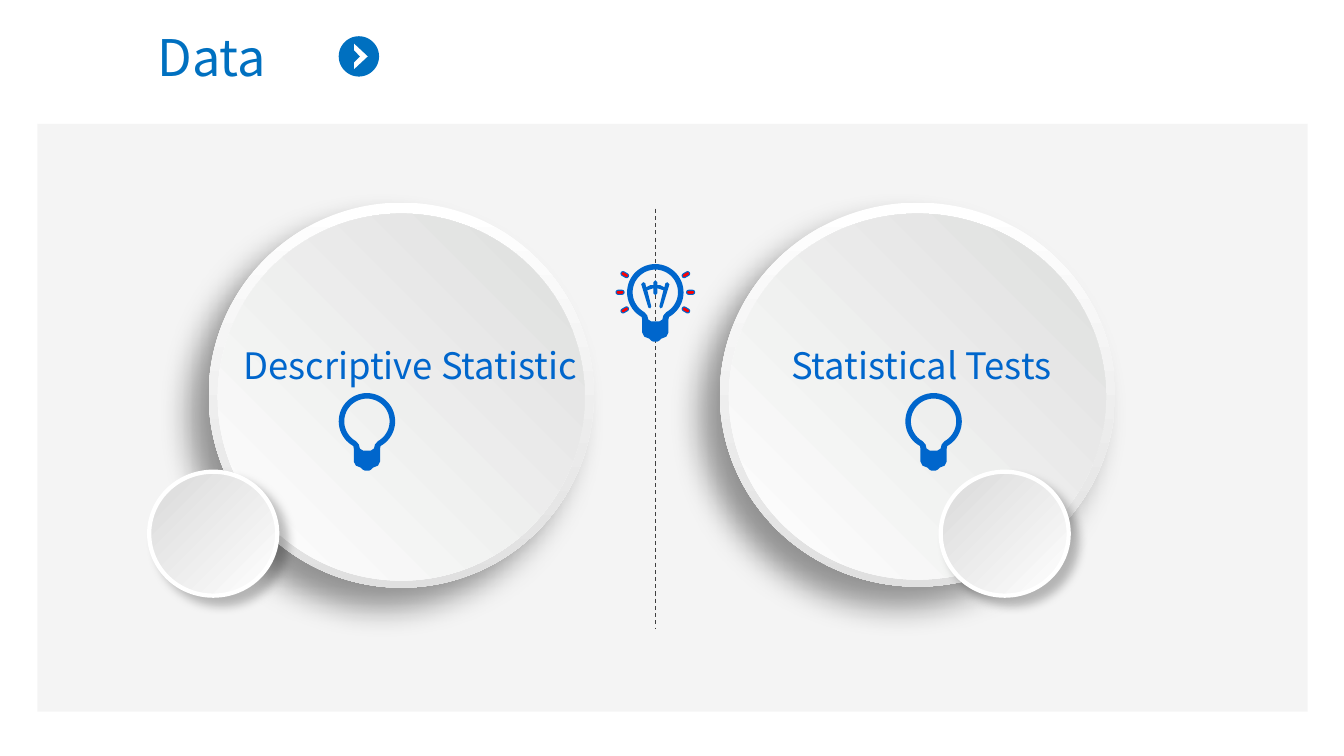
from math import cos, radians, sin

from lxml import etree
from pptx import Presentation
from pptx import util as u
from pptx.dml.color import RGBColor
from pptx.enum import dml, shapes, text
from pptx.oxml.ns import qn

PX = 9144
FONT = "Noto Sans CJK SC"
INK = {
    "blue": "0066CC", "title": "0070C0", "panel": "F2F2F2", "white": "FFFFFF",
    "rim": "E0E0E0", "face": "DDDEDD", "dot": "D9D9D9", "ray": "FF0000",
    "rule": "404040", "shade": "000000",
}
BULB = (
    (28, 61, [(41, 55), (41, 68), (39, 72), (34, 74), (32, 76), (30, 77)]),
    (22.5, 61, [(36, 51), (35, 55), (32, 57)]),
)
WIRE = [(0, -12), (2, -10), (2, -7), (5, -7), (9, -5), (10, -9), (12, -10),
        (14, -8), (7, 15), (5, 16), (4, 14), (8, -2), (5, -3), (2, -4),
        (2, 1), (0, 3)]
HOOK = [(15, 7), (29, 20), (15, 33), (15, 26), (21, 20), (15, 14)]


def rgb(name):
    return RGBColor.from_string(INK[name])


def px(*nums):
    return [u.Emu(round(n * PX)) for n in nums]


def put(item, **vals):
    for key, val in vals.items():
        setattr(item, key, val)


def paint(shape, fill, line=None, width=0):
    shape.shadow.inherit = False
    if isinstance(fill, tuple):
        first, last, angle = fill
        shape.fill.gradient()
        shape.fill.gradient_angle = angle
        for stop, name in zip(shape.fill.gradient_stops, (first, last)):
            stop.color.rgb = rgb(name)
    else:
        shape.fill.solid()
        shape.fill.fore_color.rgb = rgb(fill)
    if line:
        shape.line.color.rgb = rgb(line)
        shape.line.width = u.Pt(width)
    else:
        shape.line.fill.background()


def fade(node, alpha):
    etree.SubElement(node, qn("a:alpha")).set("val", str(alpha * 1000))


def shade(shape, alpha, blur, dist, angle):
    effect = shape._element.spPr.find(qn("a:effectLst"))
    outer = etree.SubElement(effect, qn("a:outerShdw"))
    vals = {"blurRad": u.Pt(blur), "dist": u.Pt(dist), "dir": angle * 60000,
            "algn": "ctr", "rotWithShape": 0}
    for key, val in vals.items():
        outer.set(key, str(int(val)))if key != "algn" else outer.set(key, val)
    color = etree.SubElement(outer, qn("a:srgbClr"))
    color.set("val", INK["shade"])
    fade(color, alpha)


def oval(group, box, *style):
    shape = group.add_shape(shapes.MSO_SHAPE.OVAL, *px(*box))
    paint(shape, *style)
    return shape


def arc(x, y, r, start, end, step=6):
    count = max(2, round((end - start) / step))
    turns = [radians(start + (end - start) * i / count) for i in range(count + 1)]
    return [(x + r * cos(t), y + r * sin(t)) for t in turns]


def flip(points, axis):
    return points + [(2 * axis - x, y) for x, y in reversed(points)]


def trace(group, x, y, loops, *style):
    loops = [[px(x + a, y + b) for a, b in loop] for loop in loops]
    build = group.build_freeform(*loops[0][0], scale=1.0)
    build.add_line_segments(loops[0][1:], close=True)
    for loop in loops[1:]:
        build.move_to(*loop[0])
        build.add_line_segments(loop[1:], close=True)
    paint(build.convert_to_shape(), *style)


def label(group, box, words, size, color):
    frame = group.add_textbox(*px(*box)).text_frame
    put(frame, word_wrap=True, auto_size=text.MSO_AUTO_SIZE.SHAPE_TO_FIT_TEXT)
    para = frame.paragraphs[0]
    para.alignment = text.PP_ALIGN.CENTER
    run = para.add_run()
    run.text = words
    put(run.font, name=FONT, size=u.Pt(size))
    run.font.color.rgb = rgb(color)


def panel(group, box):
    shape = group.add_shape(shapes.MSO_SHAPE.RECTANGLE, *px(*box))
    paint(shape, "panel")
    fade(shape._element.spPr.find(".//" + qn("a:srgbClr")), 78)


def bulb(group, x, y):
    loops = [arc(28, 28, r, 180 - a, 360 + a) + flip(tail, 28)
             for r, a, tail in BULB]
    trace(group, x, y, loops, "blue")


def ray(angle):
    turn = radians(angle)
    ends = [(d * cos(turn), d * sin(turn)) for d in (37, 33)]
    return (arc(*ends[0], 2, angle - 90, angle + 90, 30)
            + arc(*ends[1], 2, angle + 90, angle + 270, 30))


def lamp(root, x, top, end):
    group = root.add_group_shape().shapes
    rule = group.add_connector(shapes.MSO_CONNECTOR.STRAIGHT, *px(x, top, x, end))
    put(rule.line, width=u.Pt(0.75), dash_style=dml.MSO_LINE.DASH)
    rule.line.color.rgb = rgb("rule")
    etree.SubElement(rule._element.spPr, qn("a:effectLst"))
    y = top + 83
    bulb(group, x - 28, y - 28)
    rays = [ray(side + tilt) for side in (0, 180) for tilt in (-30, 0, 30)]
    trace(group, x, y, rays, "ray", "blue", 0.75)
    trace(group, x, y, [flip(WIRE, 0)], "blue")


def disc(root, box, words):
    x, y, w, h = box
    group = root.add_group_shape().shapes
    rim = oval(group, box, ("white", "rim", 270))
    shade(rim, 40, 22, 20, 135)
    oval(group, (x + 9, y + 11, w - 18, h - 18), ("white", "face", 45))
    label(root, (x - 3, y + 135, 406, 54), words, 26, "blue")


def dot(root, x, y):
    shape = oval(root, (x, y, 127, 123), ("dot", "white", 315), "white", 3)
    shade(shape, 25, 7, 8, 45)


def head(root, x, y):
    trace(root, x + 252, y + 15, [arc(20, 20, 20, 0, 354), HOOK], "title")
    label(root, (x, y, 252, 71), "Data", 36, "title")


def main():
    deck = Presentation()
    deck.slide_width, deck.slide_height = px(1333, 750)
    root = deck.slides.add_slide(deck.slide_layouts[6]).shapes
    panel(root, (37, 123, 1260, 583))
    disc(root, (207, 201, 382, 382), "Descriptive Statistic")
    lamp(root, 650, 207, 624)
    disc(root, (714, 201, 392, 381), "Statistical Tests")
    for x in (148, 933):
        dot(root, x, 468)
    head(root, 84, 21)
    for x in (336, 898):
        bulb(root, x, 390)
    deck.save("out.pptx")


if __name__ == "__main__":
    main()
